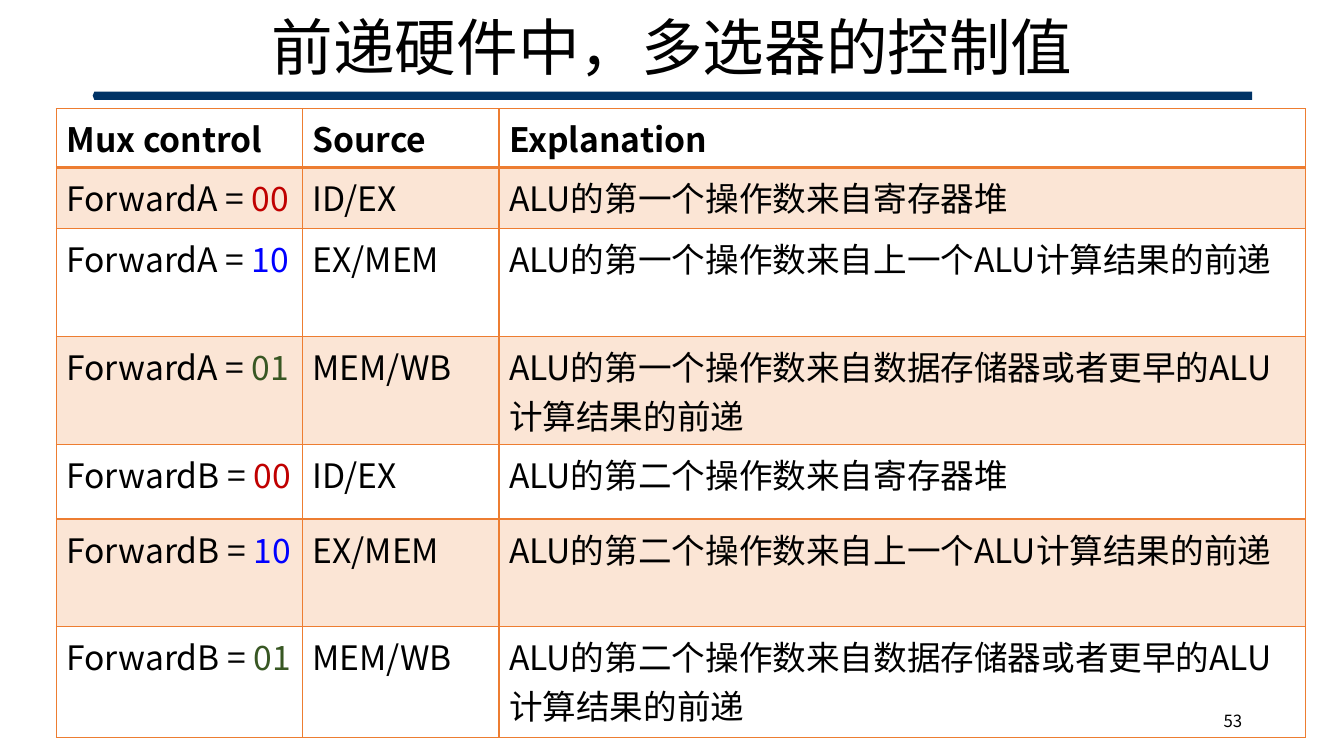
from dataclasses import dataclass
from pptx import Presentation
from pptx import util as u
from pptx.dml.color import RGBColor
from pptx.enum import shapes, text
from pptx.oxml.ns import qn
from lxml import etree


@dataclass(frozen=True)
class Theme:
    font: str = "Noto Sans CJK SC"
    ink: str = "000000"
    bar: str = "003366"
    line: str = "ED7D31"
    red: str = "C00000"
    blue: str = "0000FF"
    green: str = "385723"
    tint: int = 20000
    title: int = 44
    body: int = 24
    small: int = 12


T = Theme()
SCALE = 9144
COLS = [244, 195, 800]
ROWS = [58, 61, 107, 107, 74, 107, 110]
HEADS = ["Mux control", "Source", "Explanation"]
CODES = [
    ("00", T.red, "ID/EX", "寄存器堆"),
    ("10", T.blue, "EX/MEM", "上一个ALU计算结果的前递"),
    ("01", T.green, "MEM/WB", "数据存储器或者更早的ALU计算结果的前递"),
]
PORTS = [("A", "一"), ("B", "二")]


def px(n):
    return u.Emu(n * SCALE)


def add_run(para, words, size, color=T.ink, bold=False):
    run = para.add_run()
    run.text = words
    font = run.font
    font.name, font.size, font.bold = T.font, u.Pt(size), bold
    font.color.rgb = RGBColor.from_string(color)
    east = etree.SubElement(run._r.get_or_add_rPr(), qn("a:ea"))
    east.set("typeface", T.font)


def add_color(node, color):
    fill = etree.SubElement(node, qn("a:solidFill"))
    tone = etree.SubElement(fill, qn("a:srgbClr"), val=color)
    return tone


def add_edges(cell, base):
    props = cell._tc.get_or_add_tcPr()
    widths = {"lnL": 1, "lnR": 1, "lnT": 1, "lnB": base}
    for side, width in widths.items():
        edge = etree.SubElement(props, qn("a:" + side), w=str(u.Pt(width)))
        add_color(edge, T.line)


def fill_cell(cell, runs, row):
    add_edges(cell, 2 if row == 0 else 1)
    if row % 2:
        tone = add_color(cell._tc.get_or_add_tcPr(), T.line)
        etree.SubElement(tone, qn("a:alpha"), val=str(T.tint))
    else:
        cell.fill.background()
    cell.margin_left = cell.margin_right = px(10)
    cell.margin_top = cell.margin_bottom = px(5)
    for words, color in runs:
        add_run(cell.text_frame.paragraphs[0], words, T.body, color, row == 0)


def add_title(slide, box, words):
    x, y, w, h = box
    title = slide.shapes.title
    title.left, title.top, title.width, title.height = map(px, (x, y, w, h))
    frame = title.text_frame
    frame.auto_size = text.MSO_AUTO_SIZE.NONE
    frame.vertical_anchor = text.MSO_ANCHOR.MIDDLE
    para = frame.paragraphs[0]
    para.alignment, para.line_spacing = text.PP_ALIGN.CENTER, 0.9
    add_run(para, words, T.title)
    kind = shapes.MSO_SHAPE.PENTAGON
    bar = slide.shapes.add_shape(kind, px(x), px(y + h + 8), px(w), px(8))
    bar._element.spPr.xfrm.set("flipH", "1")
    bar.adjustments[0] = 0.2
    bar.shadow.inherit = False
    bar.fill.solid()
    bar.fill.fore_color.rgb = RGBColor.from_string(T.bar)
    bar.line.fill.background()


def add_grid(slide, x, y):
    body = [
        [[("Forward" + port + " = ", T.ink), (code, tone)],
         [(source, T.ink)],
         [("ALU的第" + rank + "个操作数来自" + origin, T.ink)]]
        for port, rank in PORTS
        for code, tone, source, origin in CODES
    ]
    lines = [[[(head, T.ink)] for head in HEADS]] + body
    size = px(sum(COLS)), px(sum(ROWS))
    frame = slide.shapes.add_table(len(ROWS), len(COLS), px(x), px(y), *size)
    grid = frame.table
    grid.first_row = grid.horz_banding = False
    for col, width in zip(grid.columns, COLS):
        col.width = px(width)
    for r, (height, line) in enumerate(zip(ROWS, lines)):
        grid.rows[r].height = px(height)
        for c, runs in enumerate(line):
            fill_cell(grid.cell(r, c), runs, r)


def add_page(slide, box, words):
    frame = slide.shapes.add_textbox(*map(px, box)).text_frame
    frame.word_wrap = True
    frame.vertical_anchor = text.MSO_ANCHOR.MIDDLE
    para = frame.paragraphs[0]
    para.alignment = text.PP_ALIGN.RIGHT
    add_run(para, words, T.small)


def main():
    deck = Presentation()
    deck.slide_width, deck.slide_height = px(1333), px(750)
    slide = deck.slides.add_slide(deck.slide_layouts[5])
    add_title(slide, (92, 17, 1150, 66), "前递硬件中，多选器的控制值")
    add_page(slide, (942, 695, 300, 40), "53")
    add_grid(slide, 56, 108)
    deck.save("out.pptx")


if __name__ == "__main__":
    main()
